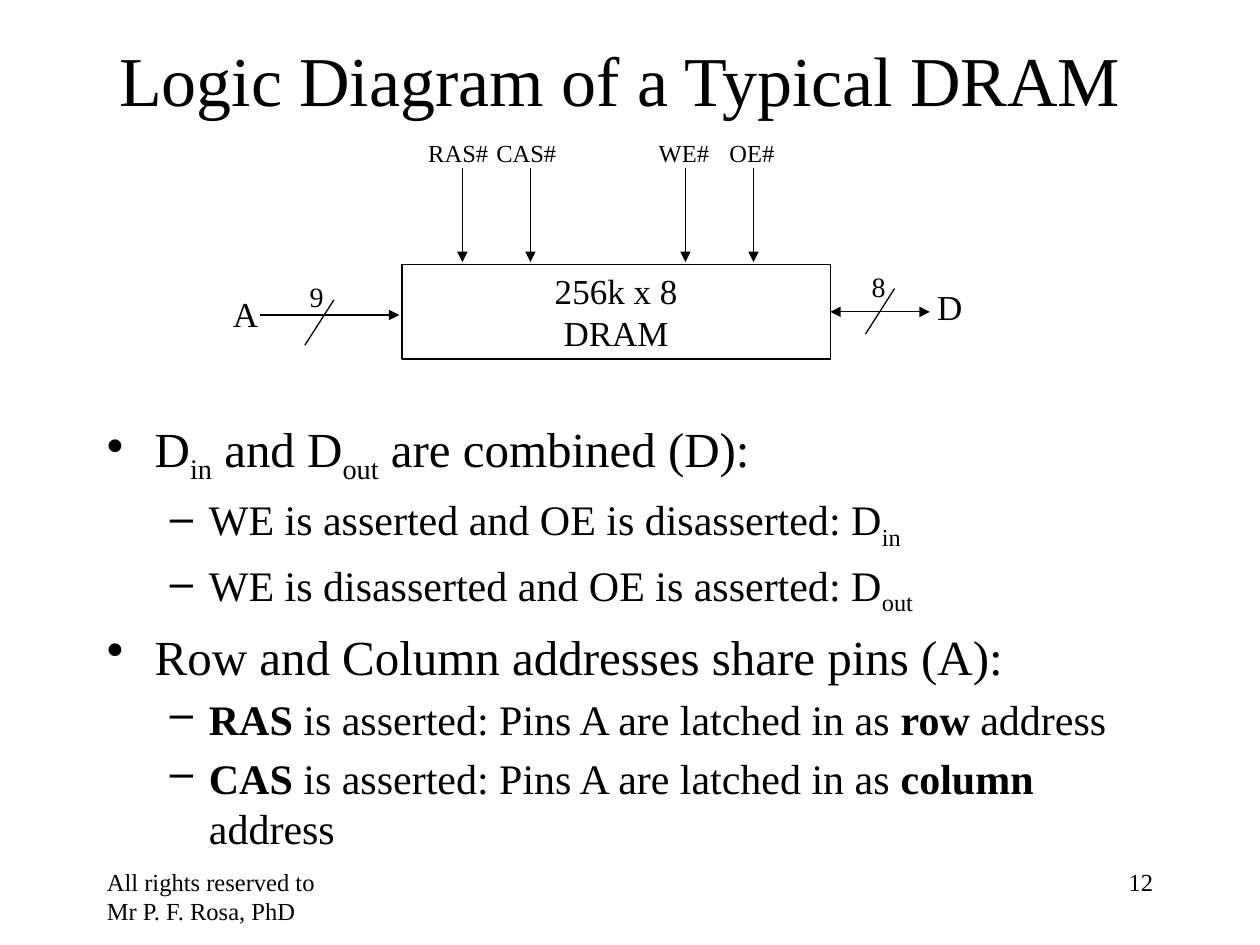
from lxml import etree
from pptx import Presentation
from pptx.dml.color import RGBColor
from pptx.enum.shapes import MSO_CONNECTOR, MSO_SHAPE
from pptx.enum.text import MSO_ANCHOR, PP_ALIGN
from pptx.oxml.ns import qn
from pptx.util import Inches, Pt

BLACK = RGBColor.from_string("000000")
LEFT, CENTER, RIGHT = PP_ALIGN.LEFT, PP_ALIGN.CENTER, PP_ALIGN.RIGHT

# Bullet levels: character, size, text margin, hanging indent, space before
LEVELS = [("•", 28, 0.38, -0.38, 5.6), ("–", 24, 0.81, -0.31, 4.8)]


def write(shape, paragraphs, size=14, align=LEFT, anchor=MSO_ANCHOR.TOP, wrap=True):
    """Fill a shape with (level, runs) paragraphs; level None means no bullet.

    Each run is (text, style), where style is "", "bold" or "sub".
    """
    frame = shape.text_frame
    frame.word_wrap = wrap
    frame.vertical_anchor = anchor
    for number, (level, runs) in enumerate(paragraphs):
        paragraph = frame.add_paragraph() if number else frame.paragraphs[0]
        paragraph.alignment = align
        run_size = size
        if level is not None:
            bullet, run_size, margin, indent, before = LEVELS[level]
            paragraph.level = level
            paragraph.space_before = Pt(before if number else 0)
            properties = paragraph._p.get_or_add_pPr()
            properties.set("marL", str(Inches(margin)))
            properties.set("indent", str(Inches(indent)))
            etree.SubElement(properties, qn("a:buChar")).set("char", bullet)
        for text, style in runs:
            run = paragraph.add_run()
            run.text = text
            run.font.name = "Times New Roman"
            run.font.size = Pt(run_size)
            run.font.color.rgb = BLACK
            if style == "bold":
                run.font.bold = True
            if style == "sub":
                run.font._element.set("baseline", "-25000")


def draw_line(x1, y1, x2, y2, *arrow_ends):
    """Draw a straight line; arrow_ends holds headEnd and/or tailEnd, in that order."""
    line = slide.shapes.add_connector(
        MSO_CONNECTOR.STRAIGHT, Inches(x1), Inches(y1), Inches(x2), Inches(y2))
    line.line.color.rgb = BLACK
    line.line.width = Pt(0.75)
    for end in arrow_ends:
        etree.SubElement(line.line._get_or_add_ln(), qn("a:" + end)).set("type", "triangle")
    etree.SubElement(line._element.spPr, qn("a:effectLst"))
    return line


prs = Presentation()
prs.slide_width, prs.slide_height = Inches(10), Inches(7.5)
slide = prs.slides.add_slide(prs.slide_layouts[6])

# Title, footer, page number and diagram labels
single_lines = [
    ("All rights reserved to Mr P. F. Rosa, PhD", 0.75, 6.83, 2.08, 0.5, 14, LEFT, True),
    ("12", 7.17, 6.83, 2.08, 0.5, 14, RIGHT, True),
    ("Logic Diagram of a Typical DRAM", 0.67, 0, 8.5, 1.25, 40, CENTER, True),
    ("A", 1.75, 2.27, 0.4, 0.43, 20, LEFT, False),
    ("D", 7.34, 2.22, 0.4, 0.43, 20, LEFT, False),
    ("9", 2.36, 2.17, 0.31, 0.37, 16, LEFT, False),
    ("8", 6.82, 2.09, 0.31, 0.37, 16, LEFT, False),
    ("RAS#", 3.3, 1.05, 0.68, 0.33, 14, LEFT, False),
    ("CAS#", 3.84, 1.05, 0.68, 0.33, 14, LEFT, False),
    ("WE#", 5.13, 1.05, 0.6, 0.33, 14, LEFT, False),
    ("OE#", 5.69, 1.05, 0.56, 0.33, 14, LEFT, False),
]
for text, x, y, width, height, size, align, wrap in single_lines:
    box = slide.shapes.add_textbox(Inches(x), Inches(y), Inches(width), Inches(height))
    anchor = MSO_ANCHOR.MIDDLE if size == 40 else MSO_ANCHOR.TOP
    write(box, [(None, [(text, "")])], size=size, align=align, anchor=anchor, wrap=wrap)

# Memory chip with its control, address and data lines
chip = slide.shapes.add_shape(
    MSO_SHAPE.RECTANGLE, Inches(3.19), Inches(2.1), Inches(3.4), Inches(0.75))
chip.shadow.inherit = False
chip.fill.background()
chip.line.color.rgb = BLACK
chip.line.width = Pt(0.75)
write(chip, [(None, [("256k x 8", "")]), (None, [("DRAM", "")])],
      size=20, align=CENTER, anchor=MSO_ANCHOR.MIDDLE)

for control_x in (3.67, 4.21, 5.44, 5.98):
    draw_line(control_x, 1.33, control_x, 2.08, "tailEnd")
draw_line(2.06, 2.5, 3.17, 2.5, "tailEnd")
data_bus = draw_line(6.59, 2.47, 7.38, 2.47, "headEnd", "tailEnd")
data_bus.begin_connect(chip, 3)
data_bus.end_y = data_bus.begin_y
for slash_x, slash_y in ((2.65, 2.38), (7.1, 2.29)):
    draw_line(slash_x, slash_y, slash_x - 0.23, slash_y + 0.36)

# Explanation
explanation = slide.shapes.add_textbox(Inches(0.75), Inches(3.27), Inches(8.5), Inches(3.4))
latched = " is asserted: Pins A are latched in as "
write(explanation, [
    (0, [("D", ""), ("in", "sub"), (" and D", ""), ("out", "sub"), (" are combined (D):", "")]),
    (1, [("WE is asserted and OE is disasserted: D", ""), ("in", "sub")]),
    (1, [("WE is disasserted and OE is asserted: D", ""), ("out", "sub")]),
    (0, [("Row and Column addresses share pins (A):", "")]),
    (1, [("RAS", "bold"), (latched, ""), ("row", "bold"), (" address", "")]),
    (1, [("CAS", "bold"), (latched, ""), ("column", "bold"), (" address", "")]),
])

prs.save("out.pptx")
